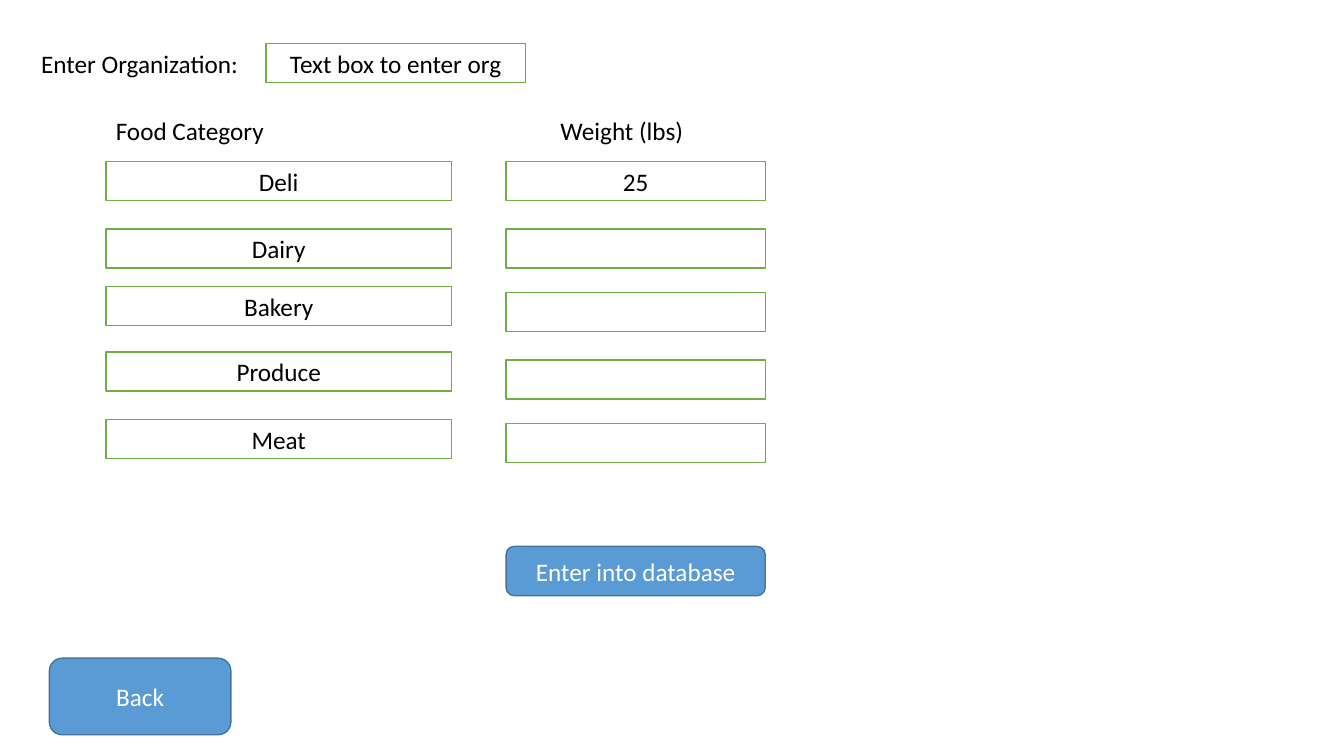
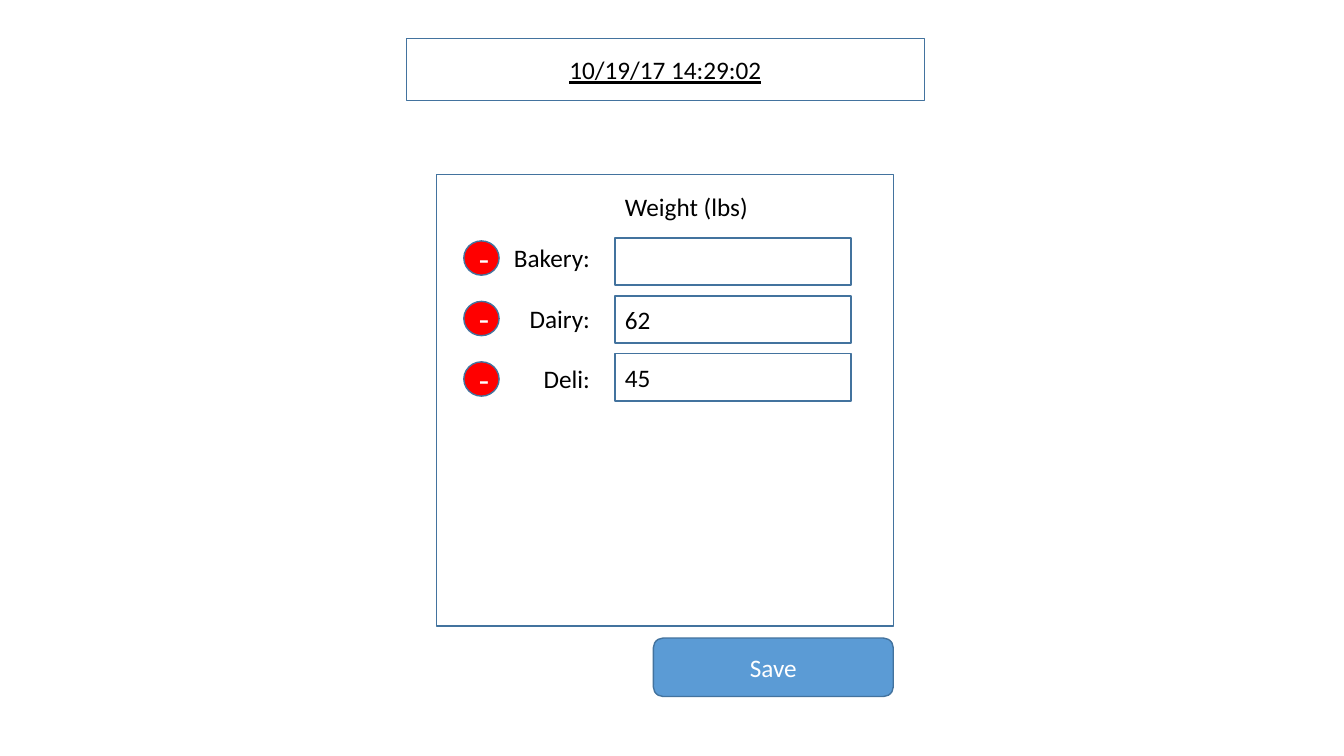
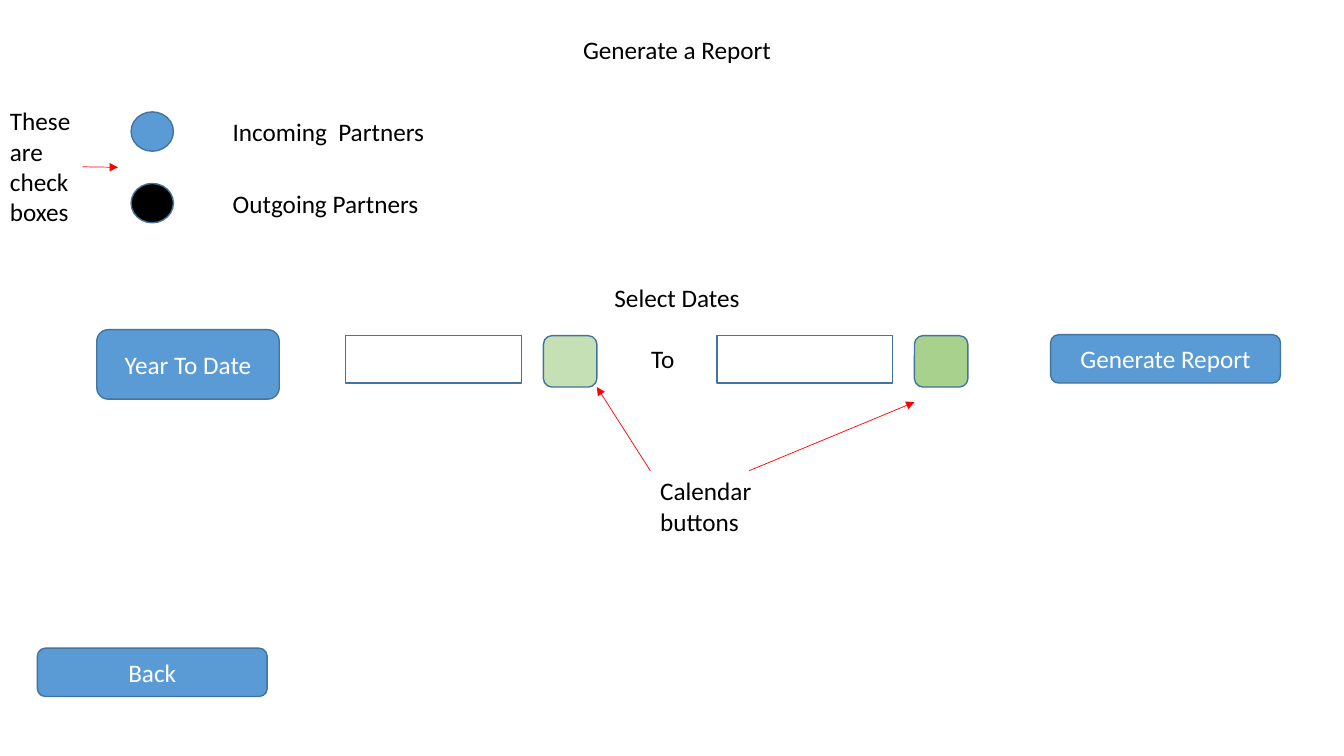
from lxml.etree import SubElement
from pptx import Presentation
from pptx.dml.color import RGBColor
from pptx.enum.shapes import MSO_CONNECTOR as Connector, MSO_SHAPE as Shape
from pptx.enum.text import MSO_ANCHOR as Anchor, MSO_AUTO_SIZE as AutoSize, PP_ALIGN as Align
from pptx.oxml.ns import qn
from pptx.util import Inches, Pt

# Shared look
FONT = "Calibri"
COLORS = {
    "black": "000000", "white": "FFFFFF", "blue": "5B9BD5", "edge": "43739E",
    "green": "70AD47", "pale": "C5E0B4", "leaf": "A9D18E", "red": "FF0000",
}
GREEN_FIELD = {"fill": "white", "line": "green"}
BUTTON = {"kind": Shape.ROUNDED_RECTANGLE, "fill": "blue", "color": "white"}
LEFT, CENTER, RIGHT = Align.LEFT, Align.CENTER, Align.RIGHT

# Content: entry form
FORM_LABELS = [
    ("Enter Organization:", (0.31, 0.43, 2.32, 0.4)),
    ("Food Category", (1.05, 1.09, 3.03, 0.4)),
    ("Weight (lbs)", (5.46, 1.09, 3.03, 0.4)),
]
FORM_ROWS = [  # category, its top, weight, its top
    ("Deli", 1.6, "25", 1.6),
    ("Dairy", 2.27, "", 2.27),
    ("Bakery", 2.84, "", 2.9),
    ("Produce", 3.49, "", 3.57),
    ("Meat", 4.16, "", 4.2),
]
FORM_BUTTONS = [
    ("Enter into database", (5.02, 5.42, 2.57, 0.49)),
    ("Back", (0.49, 6.53, 1.8, 0.76)),
]

# Content: saved record
RECORD_ROWS = [("Bakery:", ""), ("Dairy:", "62"), ("Deli:", "45")]
RECORD_TOP, LABEL_PITCH, FIELD_PITCH = 2.36, 0.6, 0.575

# Content: report page
PARTNERS = [("Incoming  Partners", "blue", 1.11), ("Outgoing Partners", "black", 1.82)]
REPORT_LABELS = [
    ("Select Dates", (5.23, 2.75, 2.97, 0.4), CENTER),
    ("To", (6.36, 3.36, 0.92, 0.4), LEFT),
    ("Calendar buttons", (6.45, 4.67, 1.2, 0.71), LEFT),
]
DATE_PICKERS = [(3.43, "pale"), (7.11, "leaf")]
REPORT_BUTTONS = [
    ("Year To Date", (0.96, 3.27, 1.81, 0.69)),
    ("Generate Report", (10.42, 3.32, 2.28, 0.48)),
    ("Back", (0.37, 6.43, 2.28, 0.48)),
]
CALENDAR_ARROWS = [((6.45, 4.67), (5.92, 3.84)), ((7.43, 4.67), (9.07, 3.99))]


def rgb(name):
    return RGBColor.from_string(COLORS[name])


def write(box, text, align, anchor, color="black", size=18, underline=None):
    frame = box.text_frame
    for name, value in {"word_wrap": True, "vertical_anchor": anchor}.items():
        setattr(frame, name, value)
    para = frame.paragraphs[0]
    para.alignment = align
    span = para.add_run()
    span.text = text
    looks = {"name": FONT, "size": Pt(size), "bold": False, "underline": underline}
    for name, value in looks.items():
        setattr(span.font, name, value)
    span.font.color.rgb = rgb(color)


def outline(box, color):
    box.line.color.rgb = rgb(color)
    box.line.width = Pt(1)


def add_label(page, text, place, align=LEFT):
    box = page.shapes.add_textbox(*map(Inches, place))
    write(box, text, align, Anchor.TOP)
    box.text_frame.auto_size = AutoSize.SHAPE_TO_FIT_TEXT
    return box


def add_box(page, place, text="", kind=Shape.RECTANGLE, fill=None, line="edge",
            align=CENTER, **looks):
    box = page.shapes.add_shape(kind, *map(Inches, place))
    box.shadow.inherit = False
    if fill:
        box.fill.solid()
        box.fill.fore_color.rgb = rgb(fill)
    else:
        box.fill.background()
    outline(box, line)
    if text:
        write(box, text, align, Anchor.MIDDLE, **looks)
    return box


def add_buttons(page, buttons):
    for text, place in buttons:
        add_box(page, place, text, **BUTTON)


def add_arrow(page, start, end):
    arrow = page.shapes.add_connector(Connector.STRAIGHT, *map(Inches, start + end))
    arrow.line.color.rgb = rgb("red")
    arrow.line.width = Pt(0.5)
    SubElement(arrow.line._get_or_add_ln(), qn("a:tailEnd"), type="triangle")
    SubElement(arrow._element.spPr, qn("a:effectLst"))
    return arrow


def add_titled_page(deck, text, place, anchor, **looks):
    page = deck.slides.add_slide(deck.slide_layouts[5])
    title = page.shapes.title
    for name, value in zip(("left", "top", "width", "height"), place):
        setattr(title, name, Inches(value))
    write(title, text, CENTER, anchor, **looks)
    title.text_frame.auto_size = AutoSize.NONE
    return page


def build_form(deck):
    page = deck.slides.add_slide(deck.slide_layouts[6])
    for text, place in FORM_LABELS:
        add_label(page, text, place)
    add_box(page, (2.64, 0.43, 2.57, 0.39), "Text box to enter org", **GREEN_FIELD)
    for category, category_top, weight, weight_top in FORM_ROWS:
        add_box(page, (1.05, category_top, 3.43, 0.39), category, **GREEN_FIELD)
        add_box(page, (5.02, weight_top, 2.57, 0.39), weight, **GREEN_FIELD)
    add_buttons(page, FORM_BUTTONS)


def build_record(deck):
    page = add_titled_page(deck, "10/19/17 14:29:02", (4.03, 0.38, 5.14, 0.62),
                           Anchor.MIDDLE, underline=True)
    outline(page.shapes.title, "edge")
    add_box(page, (4.33, 1.73, 4.53, 4.48))
    add_label(page, "Weight (lbs)", (6.1, 1.85, 2.34, 0.4))
    for row, (label, weight) in enumerate(RECORD_ROWS):
        label_top = RECORD_TOP + row * LABEL_PITCH
        field_top = RECORD_TOP + row * FIELD_PITCH
        add_label(page, label, (4.97, label_top, 0.98, 0.4), RIGHT)
        add_box(page, (6.1, field_top, 2.34, 0.47), weight, align=LEFT)
        add_box(page, (4.6, label_top + 0.03, 0.35, 0.34), "-", Shape.OVAL, "red",
                color="white", size=24)
    add_buttons(page, [("Save", (6.48, 6.33, 2.38, 0.58))])


def build_report(deck):
    page = add_titled_page(deck, "Generate a Report", (5.18, 0.29, 3.07, 0.4), Anchor.TOP)
    # Partner check boxes and their note
    for text, fill, top in PARTNERS:
        add_box(page, (1.3, top, 0.42, 0.39), kind=Shape.OVAL, fill=fill)
        add_label(page, text, (2.21, top, 2.57, 0.4))
    note = add_label(page, "These are check boxes", (0, 1, 0.82, 1.31))
    add_arrow(page, (0.82, 1.66), (1.17, 1.66)).begin_connect(note, 3)
    # Date range
    for text, place, align in REPORT_LABELS:
        add_label(page, text, place, align)
    for left, fill in DATE_PICKERS:
        add_box(page, (left, 3.33, 1.74, 0.47))
        add_box(page, (left + 1.96, 3.33, 0.53, 0.51),
                kind=Shape.ROUNDED_RECTANGLE, fill=fill)
    for start, end in CALENDAR_ARROWS:
        add_arrow(page, start, end)
    add_buttons(page, REPORT_BUTTONS)


def main():
    deck = Presentation()
    deck.slide_width, deck.slide_height = Inches(13.33), Inches(7.5)
    for build in (build_form, build_record, build_report):
        build(deck)
    deck.save("out.pptx")


if __name__ == "__main__":
    main()
